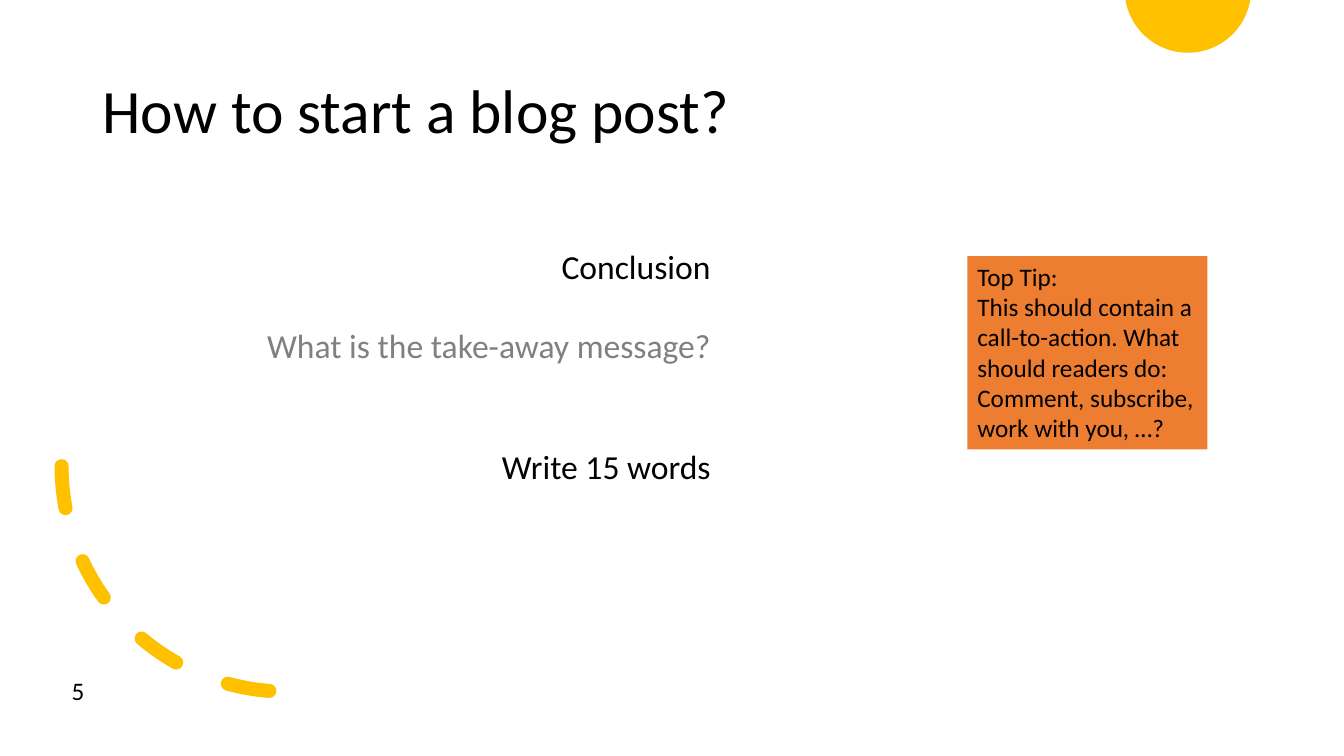
import math

from lxml import etree
from pptx import Presentation
from pptx.dml.color import RGBColor
from pptx.enum.dml import MSO_LINE
from pptx.enum.shapes import MSO_SHAPE
from pptx.enum.text import MSO_ANCHOR, PP_ALIGN
from pptx.oxml.ns import qn
from pptx.util import Pt

LEFT, RIGHT = PP_ALIGN.LEFT, PP_ALIGN.RIGHT
TOP, MIDDLE = MSO_ANCHOR.TOP, MSO_ANCHOR.MIDDLE
ARC, RECTANGLE = MSO_SHAPE.ARC, MSO_SHAPE.RECTANGLE
DASH = MSO_LINE.DASH
FONT = "Calibri"
BLACK, GREY, YELLOW, ORANGE = "000000", "808080", "FFC000", "ED7D31"


def color(hex_string):
    """Turn a hex string into a colour."""
    return RGBColor.from_string(hex_string)


def place(shape, left, top, width, height):
    """Move and size a shape, in points."""
    shape.left, shape.top = Pt(left), Pt(top)
    shape.width, shape.height = Pt(width), Pt(height)


def style_paragraph(paragraph, size, hex_string=BLACK, align=LEFT, spacing=1.0, before=0):
    """Set the font, alignment and spacing of a paragraph."""
    paragraph.font.name = FONT
    paragraph.font.size = Pt(size)
    paragraph.font.color.rgb = color(hex_string)
    paragraph.alignment = align
    paragraph.line_spacing = spacing
    paragraph.space_before = Pt(before)


def remove_bullet(paragraph):
    """Take the bullet and its indent off a list paragraph."""
    properties = paragraph._p.get_or_add_pPr()
    properties.set("marL", "0")
    properties.set("indent", "0")
    etree.SubElement(properties, qn("a:buNone"))


def add_title(slide, text):
    """Fill the title placeholder."""
    title = slide.shapes.title
    place(title, 66, 29, 828, 104.4)
    title.text_frame.text = text
    title.text_frame.vertical_anchor = MIDDLE
    style_paragraph(title.text_frame.paragraphs[0], 44, spacing=0.9)


def add_steps(slide, steps):
    """Fill the body placeholder with (text, colour, space before) steps."""
    body = slide.placeholders[1]
    place(body, 60.5, 172, 454.3, 181.4)
    frame = body.text_frame
    frame.text = "\n".join(text for text, _, _ in steps)
    frame.vertical_anchor = TOP
    for paragraph, (_, hex_string, before) in zip(frame.paragraphs, steps):
        style_paragraph(paragraph, 24, hex_string, RIGHT, before=before)
        remove_bullet(paragraph)


def add_half_sun(slide, center_x, center_y, radius):
    """Draw the part of a disc that lies below the top edge of the slide."""
    start = math.asin(-center_y / radius)
    steps = 60
    angles = [start + (math.pi - 2 * start) * i / steps for i in range(steps + 1)]
    points = [(Pt(center_x + radius * math.cos(a)),
               Pt(max(0, center_y + radius * math.sin(a)))) for a in angles]
    builder = slide.shapes.build_freeform(*points[0])
    builder.add_line_segments(points[1:], close=True)
    sun = builder.convert_to_shape()
    sun.shadow.inherit = False
    sun.fill.solid()
    sun.fill.fore_color.rgb = color(YELLOW)
    sun.line.fill.background()


def add_dashed_arc(slide, left, top, size):
    """Draw a dashed quarter circle at the lower left of its box."""
    arc = slide.shapes.add_shape(ARC, Pt(left), Pt(top), Pt(size), Pt(size))
    arc.shadow.inherit = False
    arc.rotation = 90
    arc._element.spPr.find(qn("a:xfrm")).set("flipV", "1")
    arc.fill.background()
    arc.line.color.rgb = color(YELLOW)
    arc.line.width = Pt(10)
    arc.line.dash_style = DASH
    arc.line._get_or_add_ln().set("cap", "rnd")


def add_tip(slide, text):
    """Add the filled tip box."""
    tip = slide.shapes.add_shape(RECTANGLE, Pt(691), Pt(183), Pt(171.4), Pt(138))
    tip.shadow.inherit = False
    tip.fill.solid()
    tip.fill.fore_color.rgb = color(ORANGE)
    tip.line.fill.background()
    tip.text_frame.text = text
    tip.text_frame.word_wrap = True
    tip.text_frame.vertical_anchor = TOP
    for paragraph in tip.text_frame.paragraphs:
        style_paragraph(paragraph, 18)


def add_page_number(slide, number):
    """Add the page number in the lower left corner."""
    box = slide.shapes.add_textbox(Pt(44), Pt(479), Pt(24), Pt(29))
    box.text_frame.text = str(number)
    style_paragraph(box.text_frame.paragraphs[0], 18)


def main():
    """Build the slide and save it."""
    presentation = Presentation()
    presentation.slide_width, presentation.slide_height = Pt(960), Pt(540)
    slide = presentation.slides.add_slide(presentation.slide_layouts[1])
    add_half_sun(slide, 848.5, -7.5, 45.2)
    add_title(slide, "How to start a blog post?")
    add_dashed_arc(slide, 44, 172, 322)
    add_steps(slide, [
        ("Conclusion", BLACK, 0),
        ("What is the take-away message?", GREY, 28),
        ("Write 15 words", BLACK, 57),
    ])
    add_tip(slide, "Top Tip:\nThis should contain a call-to-action. What should "
                   "readers do: Comment, subscribe, work with you, …?")
    add_page_number(slide, 5)
    presentation.save("out.pptx")


main()
